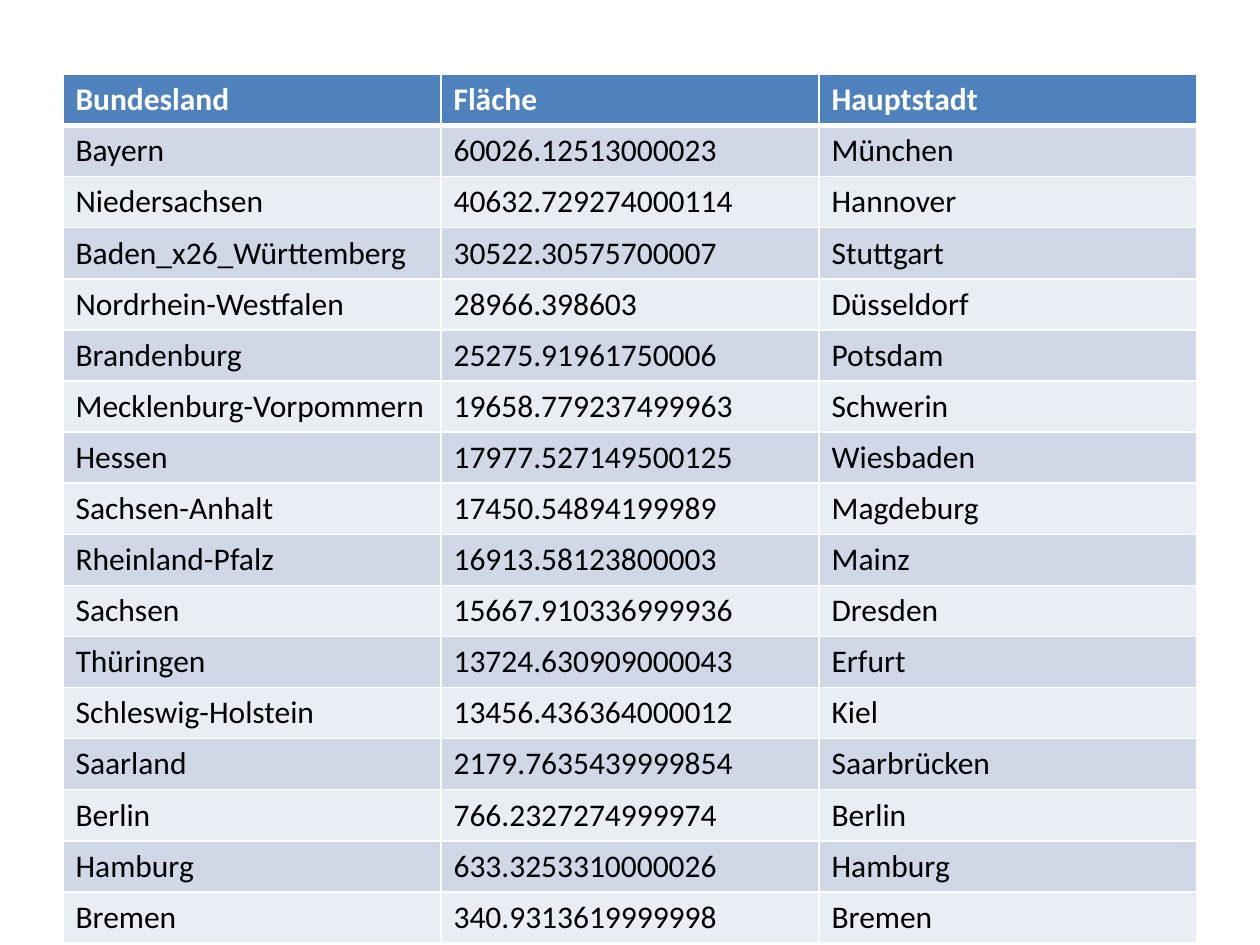
from pptx import Presentation
from pptx.dml.color import RGBColor
from pptx.oxml import parse_xml
from pptx.oxml.ns import nsdecls
from pptx.util import Cm, Pt

HEADINGS = ("Bundesland", "Fläche", "Hauptstadt")
STATES = [
    ("Bayern", "60026.12513000023", "München"),
    ("Niedersachsen", "40632.729274000114", "Hannover"),
    ("Baden_x26_Württemberg", "30522.30575700007", "Stuttgart"),
    ("Nordrhein-Westfalen", "28966.398603", "Düsseldorf"),
    ("Brandenburg", "25275.91961750006", "Potsdam"),
    ("Mecklenburg-Vorpommern", "19658.779237499963", "Schwerin"),
    ("Hessen", "17977.527149500125", "Wiesbaden"),
    ("Sachsen-Anhalt", "17450.54894199989", "Magdeburg"),
    ("Rheinland-Pfalz", "16913.58123800003", "Mainz"),
    ("Sachsen", "15667.910336999936", "Dresden"),
    ("Thüringen", "13724.630909000043", "Erfurt"),
    ("Schleswig-Holstein", "13456.436364000012", "Kiel"),
    ("Saarland", "2179.7635439999854", "Saarbrücken"),
    ("Berlin", "766.2327274999974", "Berlin"),
    ("Hamburg", "633.3253310000026", "Hamburg"),
    ("Bremen", "340.9313619999998", "Bremen"),
]
WHITE, BLACK, HEADER_BLUE = "FFFFFF", "000000", "4F81BD"
BANDS = ("E9EDF4", "D0D8E8")  # even rows, odd rows


def paint(fill, color):
    fill.solid()
    fill.fore_color.rgb = RGBColor.from_string(color)


def set_borders(cell, color, top=1, bottom=1):
    """Draw the four cell edges, widths in points."""
    properties = cell._tc.get_or_add_tcPr()
    for side, width in (("L", 1), ("R", 1), ("T", top), ("B", bottom)):
        properties.append(parse_xml(
            f'<a:ln{side} {nsdecls("a")} w="{Pt(width)}"><a:solidFill>'
            f'<a:srgbClr val="{color}"/></a:solidFill></a:ln{side}>'))


def format_cell(cell, words, row):
    is_header = row == 0
    # The rule below the header is thicker than the others
    set_borders(cell, WHITE, top=3 if row == 1 else 1, bottom=3 if is_header else 1)
    paint(cell.fill, HEADER_BLUE if is_header else BANDS[row % 2])
    cell.text_frame.text = words
    font = cell.text_frame.paragraphs[0].runs[0].font
    font.name, font.size, font.bold = "Calibri", Pt(18), is_header
    paint(font.fill, WHITE if is_header else BLACK)


def add_states_table(slide, left, top, width, height):
    rows = [HEADINGS, *STATES]
    table = slide.shapes.add_table(
        len(rows), len(HEADINGS), left, top, width, height).table
    for row, entries in enumerate(rows):
        for column, words in enumerate(entries):
            format_cell(table.cell(row, column), words, row)


def main():
    deck = Presentation()
    deck.slide_width, deck.slide_height = Cm(25.4), Cm(19.05)
    slide = deck.slides.add_slide(deck.slide_layouts[6])
    add_states_table(slide, Cm(1.27), Cm(1.5), Cm(22.86), Cm(17.51))
    deck.save("out.pptx")


if __name__ == "__main__":
    main()
